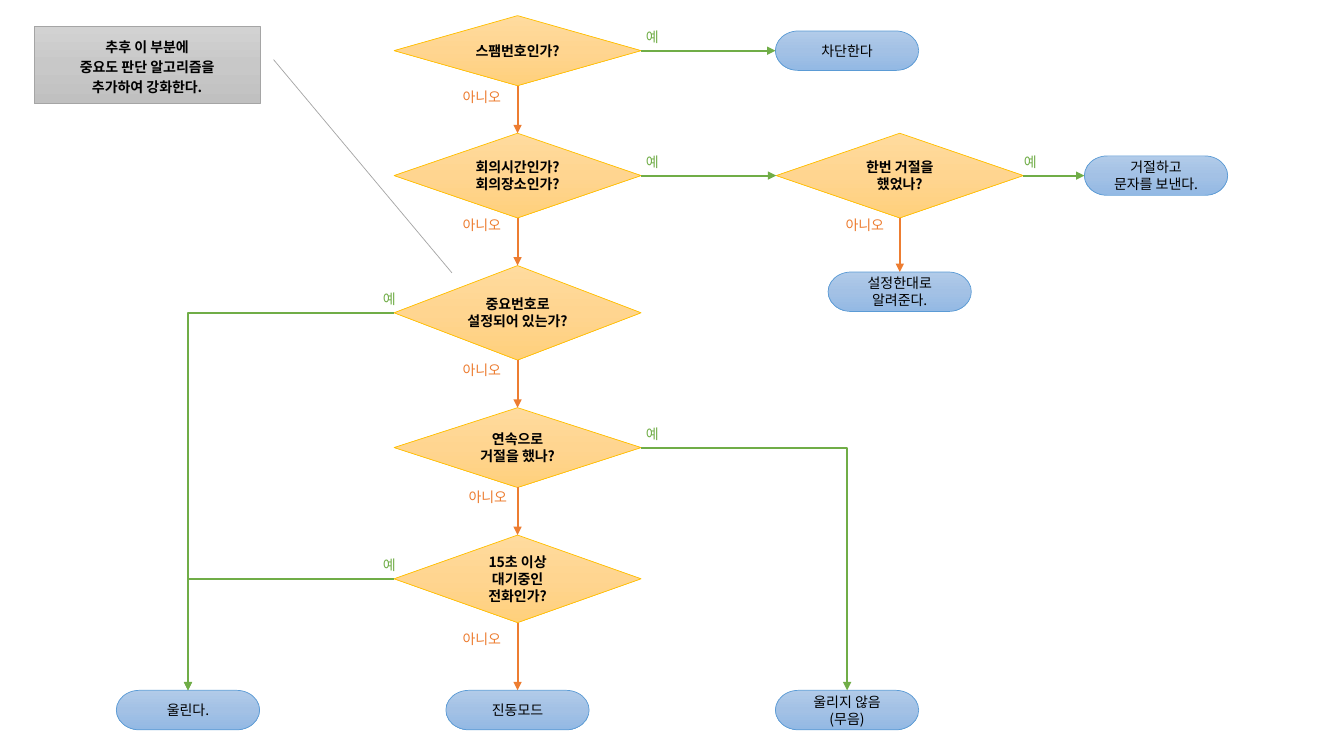
from copy import deepcopy
from pptx import Presentation
from pptx.dml.color import RGBColor
from pptx.enum.shapes import MSO_CONNECTOR as CONN, MSO_SHAPE as SHAPE
from pptx.enum.text import MSO_ANCHOR as ANCHOR, PP_ALIGN as ALIGN
from pptx.oxml.ns import qn
from pptx.util import Pt
from lxml.etree import SubElement

GREEN, ORANGE, BLACK = "70AD47", "ED7D31", "000000"
TOP, LEFT, BOTTOM, RIGHT = range(4)


def rgb(value):
    return RGBColor.from_string(value)


class Flowchart:
    font = "Noto Sans CJK KR"
    size = 10
    decision_w = 176.4
    end_w, end_h = 102.4, 28.2
    looks = {
        "decision": (["FFDB9E", "FFD590", "FFD07C"], "FFC000"),
        "end": (["B1CBE9", "A3C1E5", "93B9E4"], "5B9BD5"),
        "note": (["D2D2D2", "C8C8C8", "C0C0C0"], "A5A5A5"),
    }

    def __init__(self, slide):
        self.slide = slide

    def add_text(self, s, text, color, bold=False, align=ALIGN.CENTER, spacing=1.0):
        tf = s.text_frame
        for i, line in enumerate(text.split("\n")):
            p = tf.paragraphs[0] if i == 0 else tf.add_paragraph()
            p.alignment, p.line_spacing = align, spacing
            r = p.add_run()
            r.text = line
            style = {"name": self.font, "size": Pt(self.size), "bold": bold}
            for key, value in style.items():
                setattr(r.font, key, value)
            r.font.color.rgb = rgb(color)
            SubElement(r.font._element, qn("a:ea"), typeface=self.font)

    def shape(self, kind, look, cx, cy, w, h, text, **style):
        s = self.slide.shapes.add_shape(
            kind, Pt(cx - w / 2), Pt(cy - h / 2), Pt(w), Pt(h))
        colors, border = self.looks[look]
        s.shadow.inherit = False
        s.fill.gradient()
        s.fill.gradient_angle = 270
        stops = s._element.spPr.find(".//" + qn("a:gsLst"))
        stops.insert(1, deepcopy(stops[0]))
        for stop, color, position in zip(s.fill.gradient_stops, colors, (0, 0.5, 1)):
            stop.color.rgb = rgb(color)
            stop.position = position
        s.line.color.rgb, s.line.width = rgb(border), Pt(0.5)
        s.text_frame.word_wrap = False
        s.text_frame.vertical_anchor = ANCHOR.MIDDLE
        self.add_text(s, text, BLACK, **style)
        return s

    def decision(self, cx, cy, h, text):
        return self.shape(SHAPE.FLOWCHART_DECISION, "decision", cx, cy,
                          self.decision_w, h, text, bold=True)

    def end(self, cx, cy, text):
        return self.shape(SHAPE.FLOWCHART_TERMINATOR, "end", cx, cy,
                          self.end_w, self.end_h, text)

    def note(self, cx, cy, w, h, text, pointer):
        s = self.shape(SHAPE.LINE_CALLOUT_1, "note", cx, cy, w, h, text,
                       bold=True, spacing=1.2)
        for i, value in enumerate(pointer):
            s.adjustments[i] = value

    def arrow(self, start, start_side, end, end_side, color, bent=False):
        c = self.slide.shapes.add_connector(
            CONN.ELBOW if bent else CONN.STRAIGHT, 0, 0, 0, 0)
        c.begin_connect(start, start_side)
        c.end_connect(end, end_side)
        c.line.color.rgb, c.line.width = rgb(color), Pt(1.5)
        spPr = c._element.spPr
        if bent:
            spPr.find(qn("a:prstGeom")).set("prst", "bentConnector2")
        SubElement(spPr.find(qn("a:ln")), qn("a:tailEnd"), type="triangle")
        SubElement(spPr, qn("a:effectLst"))

    def label(self, x, y, w, text, color):
        s = self.slide.shapes.add_textbox(Pt(x), Pt(y), Pt(w), Pt(19.4))
        s.text_frame.word_wrap = True
        self.add_text(s, text, color, align=ALIGN.LEFT)


prs = Presentation()
prs.slide_width, prs.slide_height = Pt(960), Pt(540)
chart = Flowchart(prs.slides.add_slide(prs.slide_layouts[6]))

main_x, side_x, last_x = 369.7, 642.7, 825.8
column_gap, row_gap, end_y = 235.4, 34, 507.2

questions = [
    (50, "스팸번호인가?"),
    (60.5, "회의시간인가?\n회의장소인가?"),
    (67.5, "중요번호로\n설정되어 있는가?"),
    (57, "연속으로\n거절을 했나?"),
    (62.5, "15초 이상\n대기중인\n전화인가?"),
]
steps, rows, top = [], [], 11.2
for height, text in questions:
    rows.append(top + height / 2)
    steps.append(chart.decision(main_x, rows[-1], height, text))
    top += height + row_gap
spam, meeting, important, repeated, waiting = steps

ring, vibrate, silent = [
    chart.end(main_x + i * column_gap, end_y, text)
    for i, text in zip((-1, 0, 1), ("울린다.", "진동모드", "울리지 않음\n(무음)"))]
block = chart.end(main_x + column_gap, rows[0], "차단한다")
refused = chart.decision(side_x, rows[1], 60.5, "한번 거절을\n했었나?")
notify = chart.end(side_x, 208.4, "설정한대로\n알려준다.")
message = chart.end(last_x, rows[1], "거절하고\n문자를 보낸다.")

for start, end in [*zip(steps, steps[1:] + [vibrate]), (refused, notify)]:
    chart.arrow(start, BOTTOM, end, TOP, ORANGE)
for start, end in [(spam, block), (meeting, refused), (refused, message)]:
    chart.arrow(start, RIGHT, end, LEFT, GREEN)
for start, side, end in [(important, LEFT, ring), (waiting, LEFT, ring),
                         (repeated, RIGHT, silent)]:
    chart.arrow(start, side, end, TOP, GREEN, bent=True)

for x, row in [(454.3, 0), (454.3, 1), (454.3, 3), (266.4, 2), (266.4, 4), (724.3, 1)]:
    chart.label(x, rows[row] - 19.2, 29.5, "예", GREEN)
for x, y in [(323.3, 59.8), (323.3, 151.2), (323.3, 254.9), (327.6, 345.6),
             (323.3, 447.1), (596.9, 151.2)]:
    chart.label(x, y, 46, "아니오", ORANGE)

chart.note(105.1, 46.5, 161.3, 55.4, "추후 이 부분에\n중요도 판단 알고리즘을\n추가하여 강화한다.",
           (0.43, 1.06, 3.18, 1.85))

prs.save("out.pptx")
